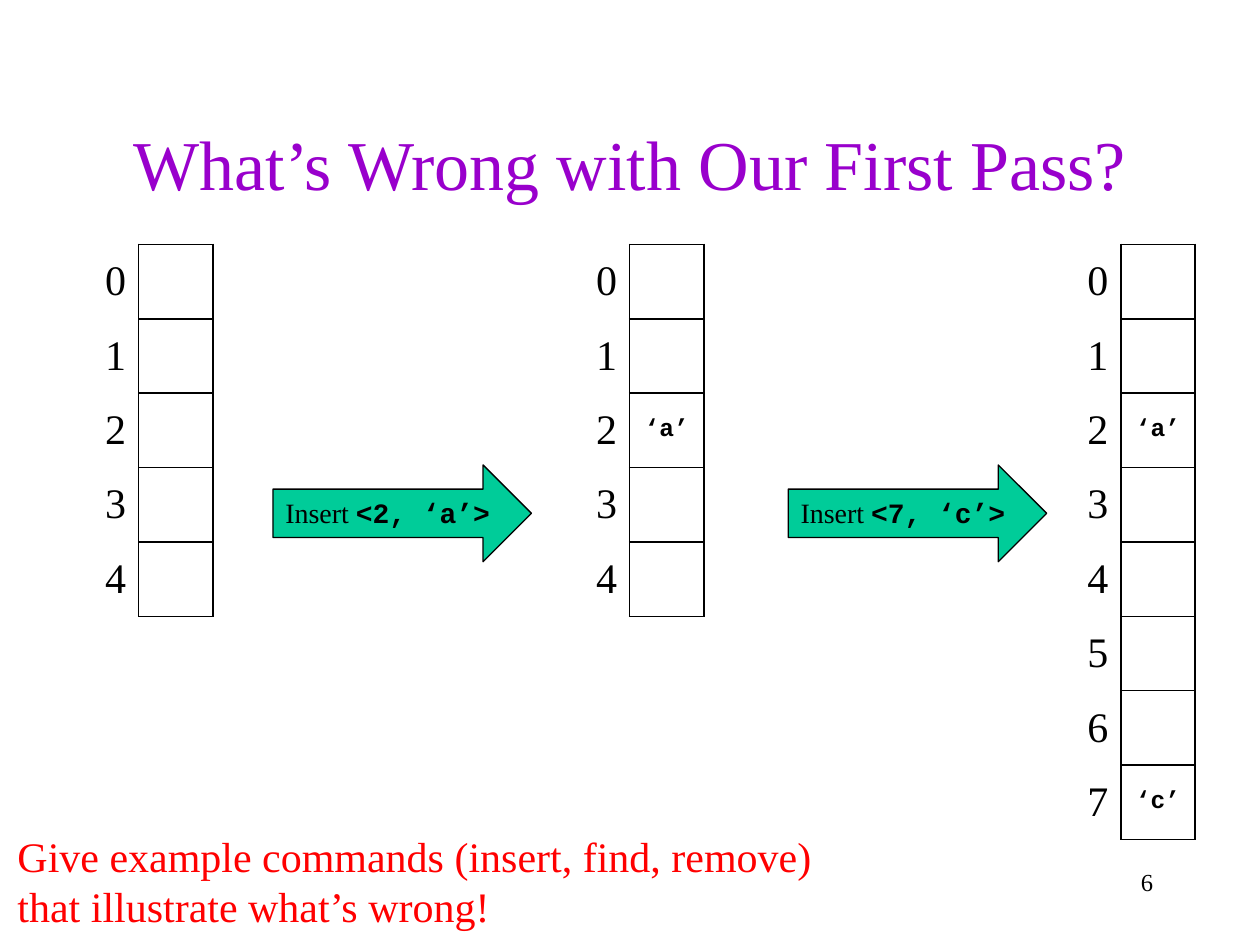
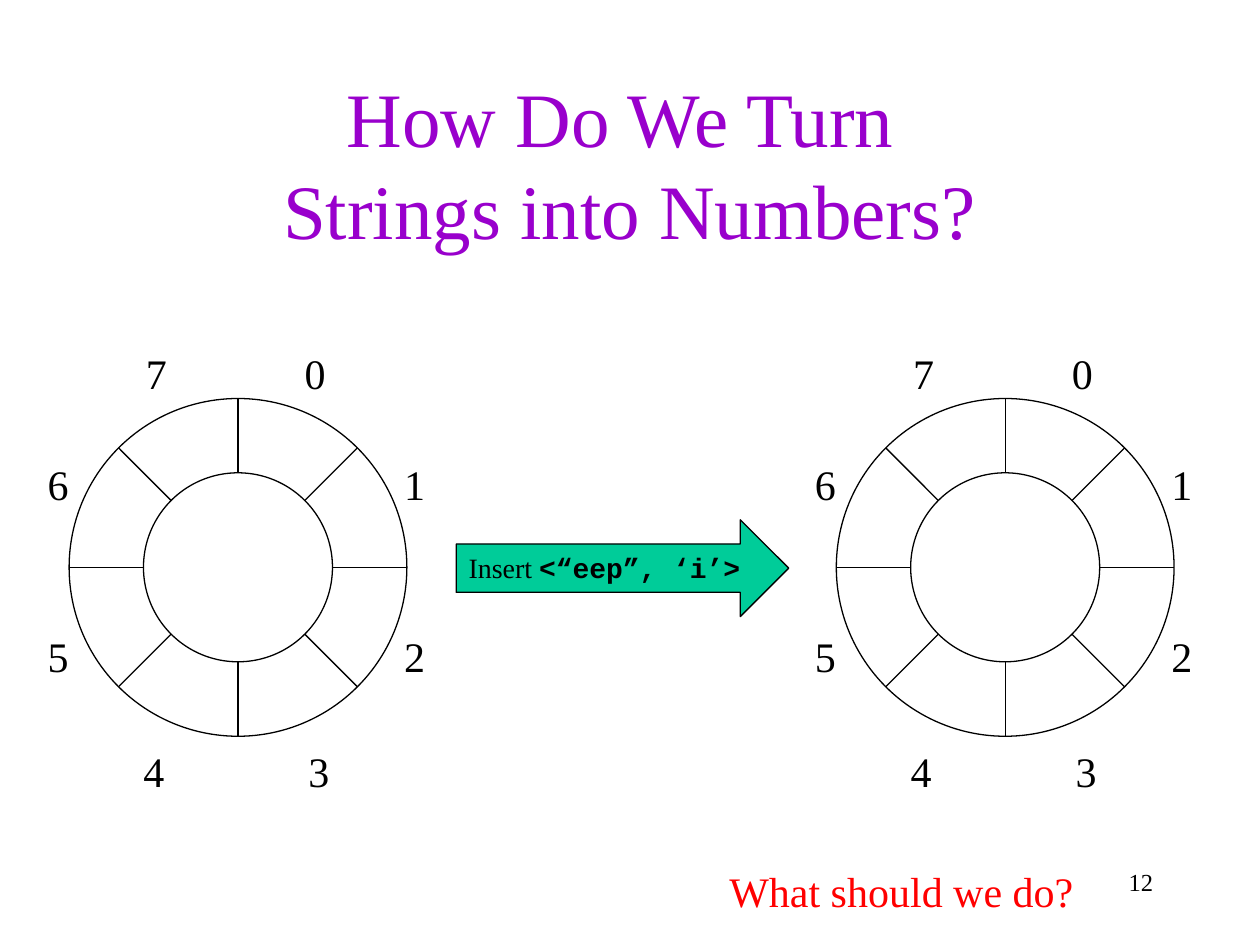
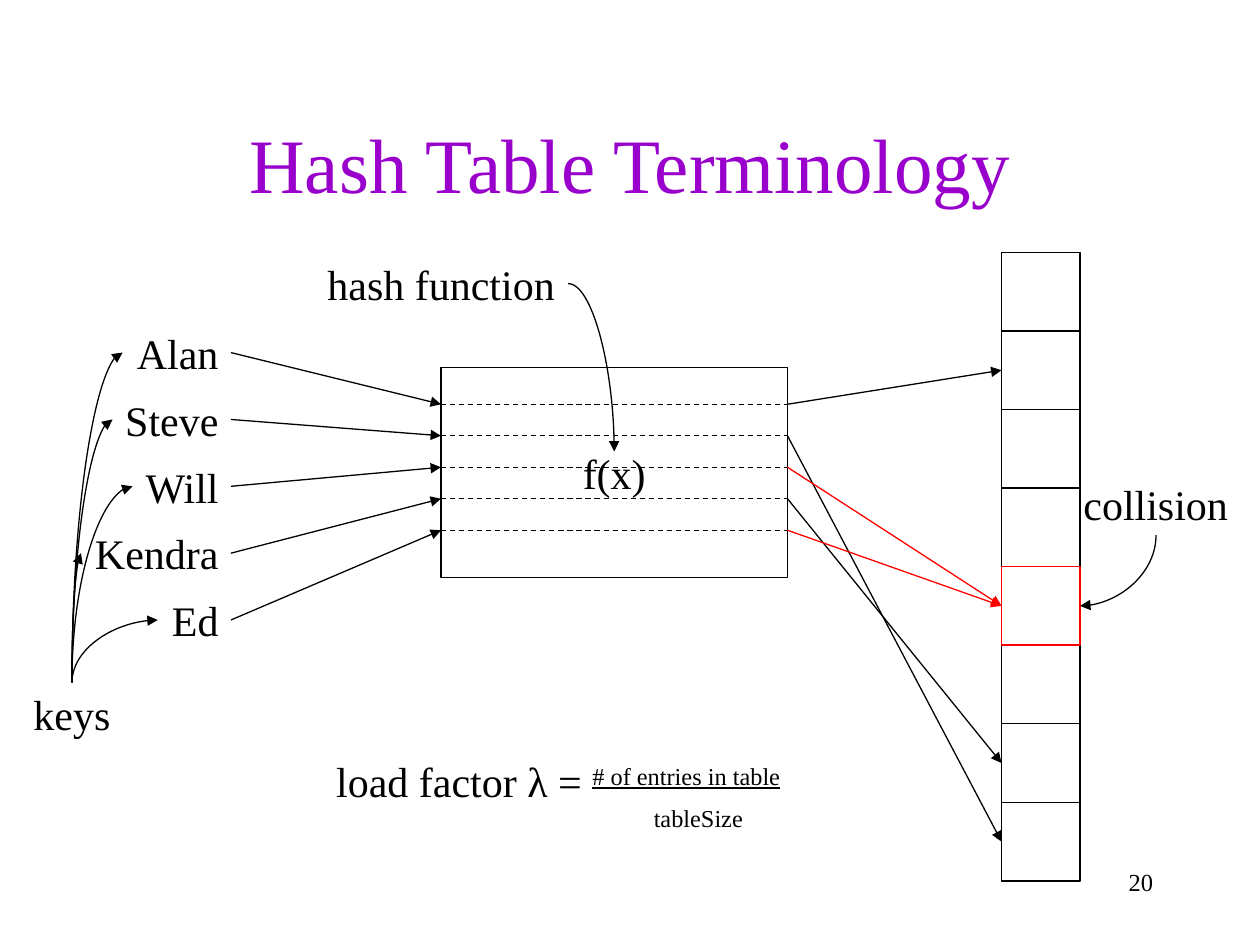
from collections import Counter
from math import cos, radians, sin

from lxml import etree
from pptx import Presentation
from pptx.dml.color import RGBColor
from pptx.enum.dml import MSO_LINE
from pptx.enum.shapes import MSO_CONNECTOR, MSO_SHAPE
from pptx.enum.text import MSO_ANCHOR, MSO_AUTO_SIZE, PP_ALIGN
from pptx.oxml.ns import qn
from pptx.util import Pt

LEFT, CENTER, RIGHT = PP_ALIGN.LEFT, PP_ALIGN.CENTER, PP_ALIGN.RIGHT
MIDDLE = MSO_ANCHOR.MIDDLE
STRAIGHT, CURVE = MSO_CONNECTOR.STRAIGHT, MSO_CONNECTOR.CURVE
TOP_SIDE, LEFT_SIDE, BOTTOM_SIDE, RIGHT_SIDE = range(4)

COLORS = {"title": "9900CC", "ink": "000000", "alert": "FF0000", "arrow": "00CC99"}
SERIF, MONO = "Times New Roman", "Courier New"
NO_STYLE = "{2D5ABB26-0587-4C30-8999-92F81FD0307C}"
LINE_WIDTH = 0.75
LABEL_HEIGHT = 36

# Slide 1: arrays as (left, slots in use, stored values), arrows as (left, command)
ARRAY_TOP, ARRAY_ROWS, ARRAY_CELL = 139.7, 8, 42.5
ARRAYS = [
    (36.8, 5, {}),
    (317.3, 5, {2: "‘a’"}),
    (598, 8, {2: "‘a’", 7: "‘c’"}),
]
ARRAY_INSERTS = [(156, "<2, ‘a’>"), (450.4, "<7, ‘c’>")]
ARRAY_PROMPT = "Give example commands (insert, find, remove) \vthat illustrate what’s wrong!"

# Slide 2: ring centres and the offset of each slot label from the centre
RING_CENTERS_X, RING_Y = [136, 574.4], 324.2
RING_OUTER, RING_INNER, RING_SPOKES = 96.5, 54, 8
SLOT_OFFSETS = [
    (44.3, -111), (101.2, -48), (101.2, 50.5), (46.5, 116),
    (-47.8, 116), (-102.5, 50.5), (-102.5, -48), (-46.4, -111),
]

# Slide 3: keys as (name, label width, slot it hashes to)
KEYS = [
    ("Alan", 61.9, 1),
    ("Steve", 67.7, 7),
    ("Will", 56.2, 4),
    ("Kendra", 85.7, 6),
    ("Ed", 41.8, 4),
]
KEY_RIGHT, KEY_TOP, KEY_STEP = 132, 183.5, 38.2
FUNCTION_LEFT, FUNCTION_TOP, FUNCTION_WIDTH, FUNCTION_HEIGHT = 252, 210, 198, 120
LANE_TOP, LANE_STEP = 231, 18
SLOT_LEFT, SLOT_TOP, SLOT_SIZE, SLOT_COUNT = 572.3, 144.2, 44.9, 8


def points(*lengths):
    return [Pt(length) for length in lengths]


def rgb(color):
    return RGBColor.from_string(COLORS[color])


def style(font, size, color="ink", name=SERIF, bold=False):
    font.name, font.size, font.bold = name, Pt(size), bold
    font.color.rgb = rgb(color)


def write(frame, text, size=24, color="ink", align=LEFT, name=SERIF, bold=False):
    para = frame.paragraphs[0]
    para.text = text
    para.alignment = align
    style(para.font, size, color, name, bold)
    return para


def add_text(shapes, place, text, size=24, color="ink", align=LEFT, wrap=False):
    box = shapes.add_textbox(*points(*place))
    box.text_frame.word_wrap = wrap
    if not wrap:
        box.text_frame.auto_size = MSO_AUTO_SIZE.SHAPE_TO_FIT_TEXT
    write(box.text_frame, text, size, color, align)
    return box


def add_outline(shapes, kind, place, color="ink", fill=None):
    shape = shapes.add_shape(kind, *points(*place))
    shape.shadow.inherit = False
    if fill:
        shape.fill.solid()
        shape.fill.fore_color.rgb = rgb(fill)
    else:
        shape.fill.background()
    shape.line.color.rgb = rgb(color)
    shape.line.width = Pt(LINE_WIDTH)
    return shape


def locate(end):
    """Give the place of an (x, y) point or of a (shape, side) pair."""
    if isinstance(end[0], (int, float)):
        return points(*end)
    shape, side = end
    across = {LEFT_SIDE: 0, RIGHT_SIDE: shape.width}.get(side, shape.width // 2)
    down = {TOP_SIDE: 0, BOTTOM_SIDE: shape.height}.get(side, shape.height // 2)
    return [shape.left + across, shape.top + down]


def add_line(shapes, start, end, color="ink", arrow=None, dashed=False, kind=STRAIGHT):
    line = shapes.add_connector(kind, *locate(start), *locate(end))
    for join, target in ((line.begin_connect, start), (line.end_connect, end)):
        if not isinstance(target[0], (int, float)):
            join(*target)
    line.line.color.rgb = rgb(color)
    line.line.width = Pt(LINE_WIDTH)
    if dashed:
        line.line.dash_style = MSO_LINE.DASH
    outline = line._element.spPr
    if arrow:
        etree.SubElement(outline.find(qn("a:ln")), qn(f"a:{arrow}"), type="triangle")
    if kind == CURVE:
        outline.find(qn("a:prstGeom")).set("prst", "curvedConnector2")
    etree.SubElement(outline, qn("a:effectLst"))


def add_insert(page, place, command):
    arrow = add_outline(page.shapes, MSO_SHAPE.RIGHT_ARROW, place, fill="arrow")
    arrow.text_frame.vertical_anchor = MSO_ANCHOR.TOP
    para = arrow.text_frame.paragraphs[0]
    para.alignment = LEFT
    for text, name in (("Insert ", SERIF), (command, MONO)):
        span = para.add_run()
        span.text = text
        style(span.font, 16, name=name, bold=name == MONO)


def add_page(deck, title, number, size=44):
    page = deck.slides.add_slide(deck.slide_layouts[6])
    box = add_text(page.shapes, (54, 48, 612, 90), title, size, "title", CENTER, wrap=True)
    box.text_frame.vertical_anchor = MIDDLE
    add_text(page.shapes, (516, 492, 150, 36), number, 14, align=RIGHT, wrap=True)
    return page


def set_borders(cell, sides):
    for index, side in enumerate(sides):
        border = etree.Element(qn(f"a:ln{side}"), w=str(Pt(1)))
        fill = etree.SubElement(border, qn("a:solidFill"))
        etree.SubElement(fill, qn("a:srgbClr"), val=COLORS["ink"])
        cell._tc.get_or_add_tcPr().insert(index, border)


def add_array(page, left, used, values):
    place = points(left, ARRAY_TOP, 2 * ARRAY_CELL, ARRAY_ROWS * ARRAY_CELL)
    table = page.shapes.add_table(ARRAY_ROWS, 2, *place).table
    table.first_row = table.horz_banding = False
    table._tbl.tblPr.find(qn("a:tableStyleId")).text = NO_STYLE
    for row in range(ARRAY_ROWS):
        label, value = table.cell(row, 0), table.cell(row, 1)
        for cell in (label, value):
            cell.fill.background()
            cell.vertical_anchor = MIDDLE
        if row < used:
            write(label.text_frame, str(row), align=RIGHT)
            set_borders(label, "R")
            set_borders(value, "LRTB")
        if row in values:
            write(value.text_frame, values[row], 14, align=CENTER, name=MONO, bold=True)


def add_ring(page, center_x):
    shapes = page.shapes.add_group_shape().shapes
    for radius in (RING_INNER, RING_OUTER):
        place = (center_x - radius, RING_Y - radius, 2 * radius, 2 * radius)
        add_outline(shapes, MSO_SHAPE.OVAL, place)
    for spoke in range(RING_SPOKES):
        angle = radians(spoke * 360 / RING_SPOKES)
        inner, outer = [
            (center_x + radius * sin(angle), RING_Y - radius * cos(angle))
            for radius in (RING_INNER, RING_OUTER)
        ]
        add_line(shapes, inner, outer)
    for slot, (across, down) in enumerate(SLOT_OFFSETS):
        place = (center_x + across - 13.3, RING_Y + down - 18, 26.6, LABEL_HEIGHT)
        add_text(shapes, place, str(slot))


def build_first_pass(deck):
    page = add_page(deck, "What’s Wrong with Our First Pass?", "6", 40)
    for array in ARRAYS:
        add_array(page, *array)
    for left, command in ARRAY_INSERTS:
        add_insert(page, (left, 265.7, 147.7, 55.3), command)
    add_text(page.shapes, (2.9, 470.9, 478, 65.5), ARRAY_PROMPT, color="alert")


def build_strings(deck):
    page = add_page(deck, "How Do We Turn \vStrings into Numbers?", "12")
    for center_x in RING_CENTERS_X:
        add_ring(page, center_x)
    add_insert(page, (260.7, 297, 190, 55.3), "<“eep”, ‘i’>")
    add_text(page.shapes, (407.5, 491, 213, LABEL_HEIGHT), "What should we do?",
             color="alert", align=RIGHT)


def build_terminology(deck):
    page = add_page(deck, "Hash Table Terminology", "20")
    shapes = page.shapes
    loads = Counter(slot for _, _, slot in KEYS)

    def slot_color(slot):
        return "alert" if loads[slot] > 1 else "ink"

    # Table slots, with the collided one in front
    slots = {}
    for slot in sorted(range(SLOT_COUNT), key=lambda slot: loads[slot] > 1):
        place = (SLOT_LEFT, SLOT_TOP + slot * SLOT_SIZE, SLOT_SIZE, SLOT_SIZE)
        slots[slot] = add_outline(shapes, MSO_SHAPE.RECTANGLE, place, slot_color(slot))

    # Hash function
    place = (FUNCTION_LEFT, FUNCTION_TOP, FUNCTION_WIDTH, FUNCTION_HEIGHT)
    function = add_outline(shapes, MSO_SHAPE.RECTANGLE, place)
    function.text_frame.word_wrap = False
    function.text_frame.vertical_anchor = MIDDLE
    write(function.text_frame, "f(x)", align=CENTER)

    # Labels
    function_label = add_text(shapes, (180, 144, 144.7, LABEL_HEIGHT), "hash function")
    collision_label = add_text(shapes, (612, 269.8, 97.2, LABEL_HEIGHT), "collision")
    keys_label = add_text(shapes, (12, 390, 58.3, LABEL_HEIGHT), "keys")

    # Keys and their way through the function
    for index, (name, width, slot) in enumerate(KEYS):
        place = (KEY_RIGHT - width, KEY_TOP + index * KEY_STEP, width, LABEL_HEIGHT)
        key = add_text(shapes, place, name, align=RIGHT)
        lane = LANE_TOP + index * LANE_STEP
        entry, leave = (FUNCTION_LEFT, lane), (FUNCTION_LEFT + FUNCTION_WIDTH, lane)
        add_line(shapes, (key, RIGHT_SIDE), entry, arrow="tailEnd")
        add_line(shapes, entry, leave, dashed=True)
        add_line(shapes, leave, (slots[slot], LEFT_SIDE), slot_color(slot), arrow="tailEnd")
        add_line(shapes, (key, LEFT_SIDE), (keys_label, TOP_SIDE), arrow="headEnd", kind=CURVE)

    # Curves from the other labels
    add_line(shapes, (function_label, RIGHT_SIDE), (351, 258), arrow="tailEnd", kind=CURVE)
    for slot, load in loads.items():
        if load > 1:
            add_line(shapes, (slots[slot], RIGHT_SIDE), (collision_label, BOTTOM_SIDE),
                     arrow="headEnd", kind=CURVE)

    # Load factor as a fraction
    factor = add_text(shapes, (185, 428.4, 286.6, LABEL_HEIGHT), "load factor λ = ")
    numerator = factor.text_frame.paragraphs[0].add_run()
    numerator.text = "# of entries in table"
    numerator.font.underline = True
    numerator.font._element.set("baseline", "30000")
    divisor = add_text(shapes, (366.5, 439.2, 73.4, 26.6), "tableSize")
    divisor.text_frame.paragraphs[0].runs[0].font._element.set("baseline", "-25000")


def main():
    deck = Presentation()
    deck.slide_width, deck.slide_height = points(720, 540)
    build_first_pass(deck)
    build_strings(deck)
    build_terminology(deck)
    deck.save("out.pptx")


if __name__ == "__main__":
    main()
